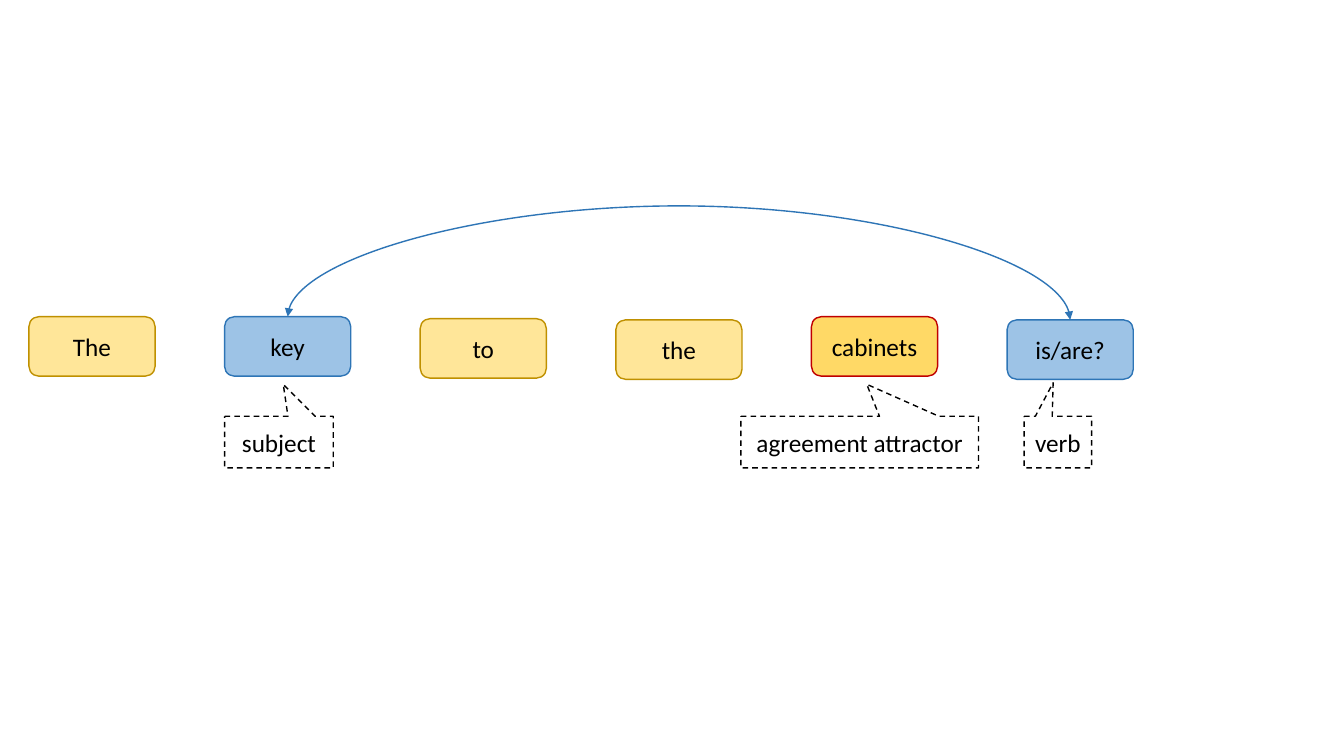
import pptx
import pptx.dml.color
import pptx.enum.dml
import pptx.enum.shapes
import pptx.enum.text
import pptx.oxml
import pptx.oxml.ns
import pptx.util

Cm = pptx.util.Cm
Color = pptx.dml.color.RGBColor
Shapes = pptx.enum.shapes.MSO_SHAPE

BLACK = Color(0x00, 0x00, 0x00)
WHITE = Color(0xFF, 0xFF, 0xFF)
PALE_YELLOW = Color(0xFF, 0xE6, 0x99)
YELLOW = Color(0xFF, 0xD9, 0x66)
OCHRE = Color(0xBF, 0x90, 0x00)
RED = Color(0xC0, 0x00, 0x00)
LIGHT_BLUE = Color(0x9D, 0xC3, 0xE6)
BLUE = Color(0x2E, 0x75, 0xB6)

FONT = {"name": "Calibri", "size": pptx.util.Pt(18)}
FRAME = {
    "vertical_anchor": pptx.enum.text.MSO_ANCHOR.MIDDLE,
    "word_wrap": False,
}
LINE_WIDTH = pptx.util.Pt(1)

# Word, drop below the top of the row, fill, outline
WORDS = [
    ("The", 0, PALE_YELLOW, OCHRE),
    ("key", 0, LIGHT_BLUE, BLUE),
    ("to", 0.05, PALE_YELLOW, OCHRE),
    ("the", 0.08, PALE_YELLOW, OCHRE),
    ("cabinets", 0, YELLOW, RED),
    ("is/are?", 0.08, LIGHT_BLUE, BLUE),
]
WORD_WIDTH, WORD_HEIGHT, WORD_PITCH = Cm(3.18), Cm(1.5), Cm(4.93)

# Label, left, width, pointer tip as shares of the label's size from its centre
LABELS = [
    ("agreement attractor", 18.67, 5.99, (0.03, -1.12)),
    ("subject", 5.66, 2.74, (0.04, -1.12)),
    ("verb", 25.81, 1.7, (-0.07, -1.15)),
]


def set_attributes(target, values):
    for name, value in values.items():
        setattr(target, name, value)


def add_text_shape(slide, kind, box, text, fill, outline):
    shape = slide.shapes.add_shape(kind, *box)
    shape.shadow.inherit = False
    shape.fill.solid()
    shape.fill.fore_color.rgb = fill
    shape.line.color.rgb = outline
    shape.line.width = LINE_WIDTH
    set_attributes(shape.text_frame, FRAME)
    paragraph = shape.text_frame.paragraphs[0]
    paragraph.alignment = pptx.enum.text.PP_ALIGN.CENTER
    run = paragraph.add_run()
    run.text = text
    set_attributes(run.font, FONT)
    run.font.color.rgb = BLACK
    return shape


def add_sentence(slide, left, top):
    """Place the words at an equal pitch and return their shapes by word."""
    shapes = {}
    for index, (word, drop, fill, outline) in enumerate(WORDS):
        box = (left + index * WORD_PITCH, top + Cm(drop), WORD_WIDTH, WORD_HEIGHT)
        shapes[word] = add_text_shape(
            slide, Shapes.ROUNDED_RECTANGLE, box, word, fill, outline)
    return shapes


def add_labels(slide, top, height):
    for text, left, width, tip in LABELS:
        label = add_text_shape(
            slide, Shapes.RECTANGULAR_CALLOUT,
            (Cm(left), top, Cm(width), height), text, WHITE, BLACK)
        label.line.dash_style = pptx.enum.dml.MSO_LINE.DASH
        label.adjustments[0], label.adjustments[1] = tip


def add_agreement_arc(slide, verb, subject, rise):
    """Arch a two-headed curve from the verb's top to the subject's top.

    The curve is laid out upright around its centre, then turned by 270 degrees.
    """
    span = verb.left - subject.left
    depth = verb.top - subject.top
    centre_x = subject.left + (subject.width + span) // 2
    centre_y = subject.top + depth // 2
    left, top = centre_x - depth // 2, centre_y - span // 2
    arc = slide.shapes.add_connector(
        pptx.enum.shapes.MSO_CONNECTOR.CURVE,
        left, top + span, left + depth, top)
    arc.line.color.rgb = BLUE
    arc.line.width = LINE_WIDTH

    qn = pptx.oxml.ns.qn
    properties = arc.element.spPr
    properties.find(qn("a:xfrm")).set("rot", str(270 * 60000))
    guides = properties.find(qn("a:prstGeom")).get_or_add_avLst()
    guide = guides.makeelement(
        qn("a:gd"), {"name": "adj1", "fmla": f"val {round(rise / depth * 100000)}"})
    guides.append(guide)
    line = properties.find(qn("a:ln"))
    for end in ("a:headEnd", "a:tailEnd"):
        line.append(line.makeelement(qn(end), {"type": "triangle"}))
    properties.append(properties.makeelement(qn("a:effectLst"), {}))


def main():
    presentation = pptx.Presentation()
    set_attributes(presentation, {"slide_width": Cm(33.87), "slide_height": Cm(19.05)})
    slide = presentation.slides.add_slide(presentation.slide_layouts[6])
    words = add_sentence(slide, Cm(0.73), Cm(7.98))
    add_agreement_arc(slide, words["is/are?"], words["key"], Cm(2.87))
    add_labels(slide, Cm(10.49), Cm(1.3))
    presentation.save("out.pptx")


if __name__ == "__main__":
    main()
